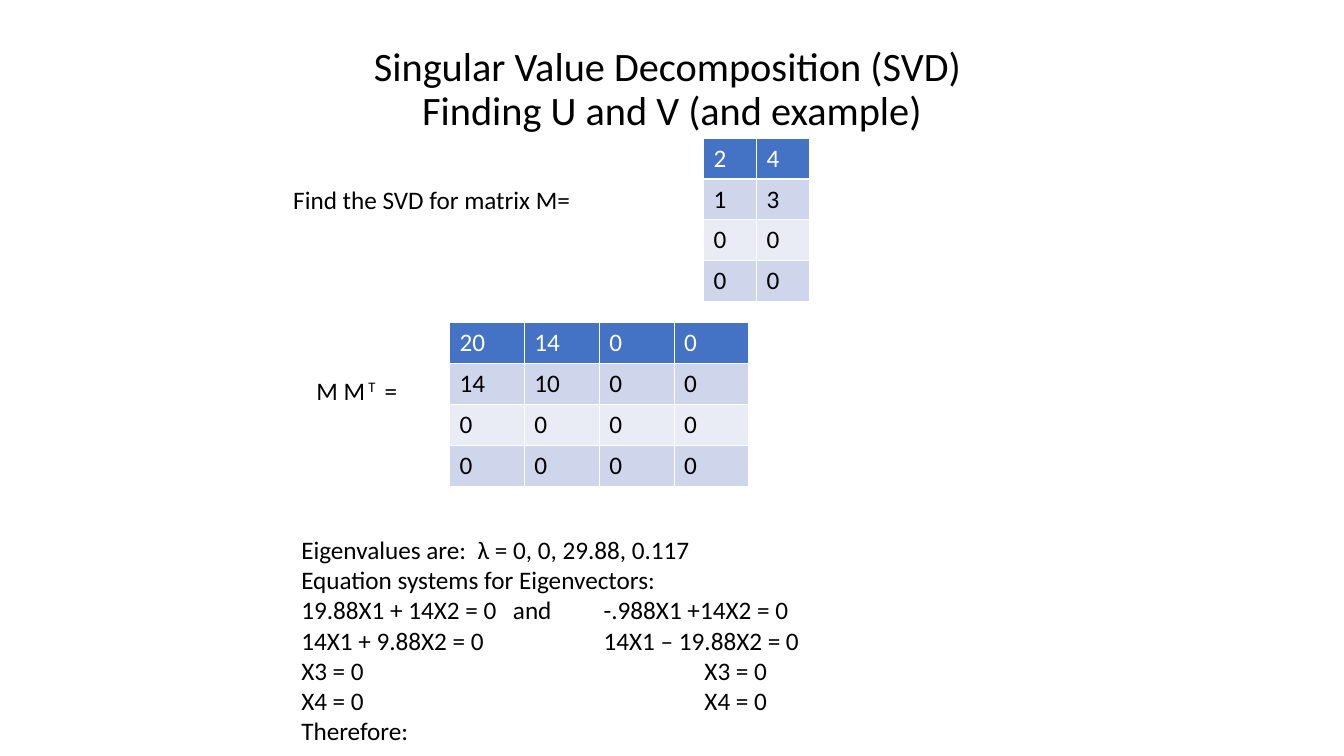
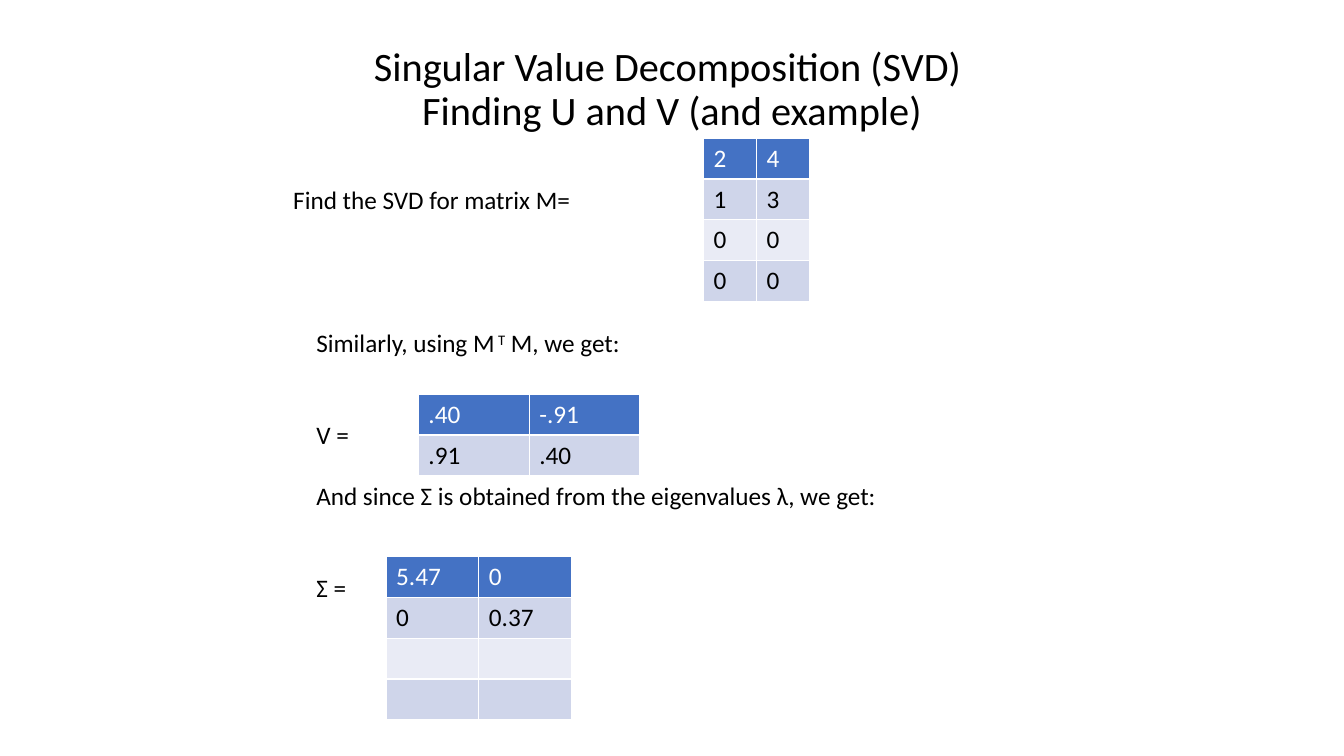
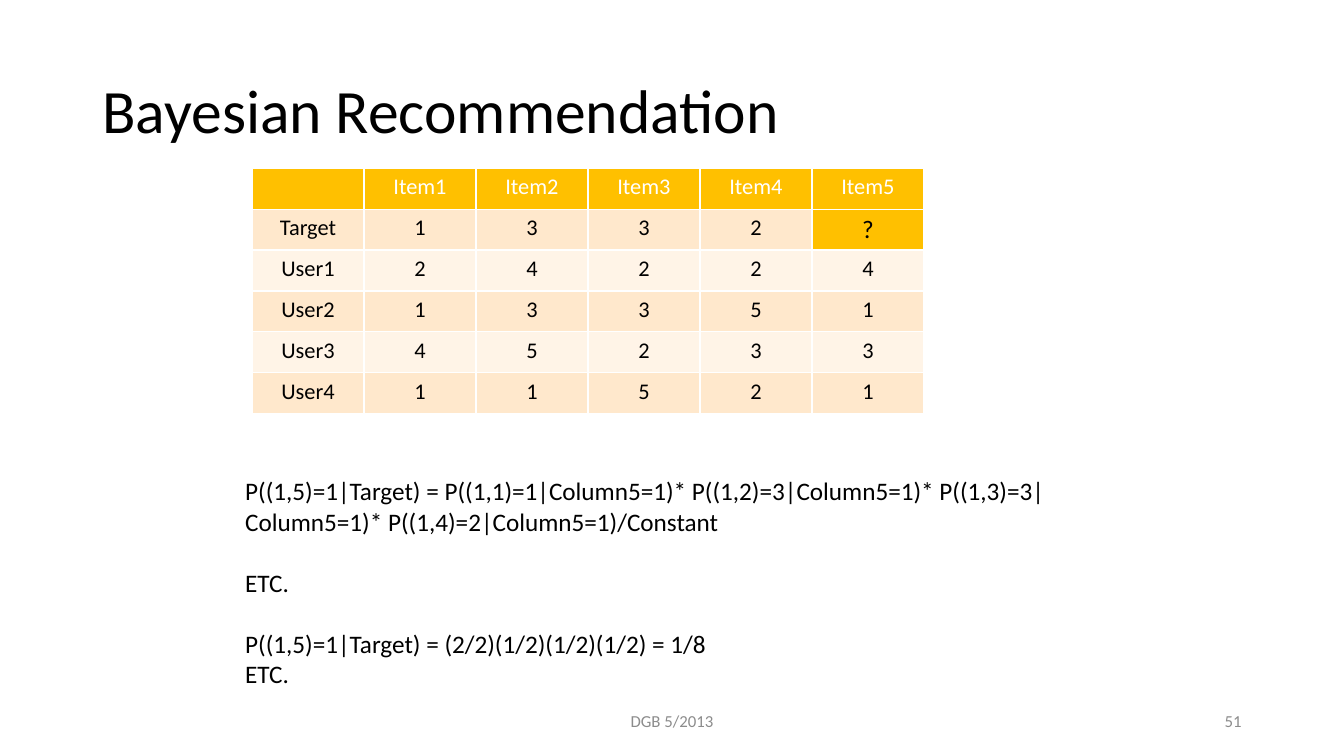
from dataclasses import dataclass
from typing import Any, NamedTuple

import lxml.etree
import pptx
import pptx.dml.color
import pptx.enum.text
import pptx.oxml.ns
import pptx.util

SLIDE_WIDTH = pptx.util.Inches(13.333)
SLIDE_HEIGHT = pptx.util.Inches(7.5)
FONT = "Calibri"
BLACK, WHITE, GREY = "000000", "FFFFFF", "8C8C8C"
BODY_SIZE = 18
LINE_HEIGHT = 22
ROW_HEIGHT = pptx.util.Pt(29.2)

ALIGN = pptx.enum.text.PP_ALIGN
ANCHOR = pptx.enum.text.MSO_ANCHOR


class Box(NamedTuple):
    """Left, top, width and height in percent of the slide's size."""
    left: float
    top: float
    width: float
    height: float = 5.33

    def lengths(self) -> tuple[int, ...]:
        sides = (SLIDE_WIDTH, SLIDE_HEIGHT, SLIDE_WIDTH, SLIDE_HEIGHT)
        return tuple(round(side * share / 100) for side, share in zip(sides, self))


class Line(NamedTuple):
    """A paragraph; text between carets is raised, tab stops are in inches."""
    text: str
    blank_lines_before: int = 0
    tab_stops: tuple[float, ...] = ()


@dataclass(frozen=True)
class TextStyle:
    size: float = BODY_SIZE
    color: str = BLACK
    align: Any = ALIGN.LEFT
    anchor: Any = ANCHOR.TOP
    line_spacing: float = 1.0


@dataclass(frozen=True)
class TableStyle:
    header: str
    bands: tuple[str, str]
    size: float = BODY_SIZE
    align: Any = ALIGN.LEFT


HEADING = TextStyle(28.8, align=ALIGN.CENTER, anchor=ANCHOR.MIDDLE, line_spacing=0.9)
LARGE_TITLE = TextStyle(44, anchor=ANCHOR.MIDDLE, line_spacing=0.9)
BODY = TextStyle()
FOOTER = TextStyle(12, GREY, ALIGN.CENTER, ANCHOR.MIDDLE)
PAGE_NUMBER = TextStyle(12, GREY, ALIGN.RIGHT, ANCHOR.MIDDLE)
MATRIX = TableStyle("4472C4", ("CFD5EA", "E9EBF5"))
RATINGS = TableStyle("FFC000", ("FFE8CC", "FFF4E7"), 16, ALIGN.CENTER)
UNKNOWN_RATING = "?"


def rgb(color: str) -> pptx.dml.color.RGBColor:
    return pptx.dml.color.RGBColor.from_string(color)


def apply_format(target: Any, values: dict[str, Any]) -> None:
    for name, value in values.items():
        setattr(target, name, value)


def add_run(paragraph: Any, text: str, size: float, color: str, raised: bool = False) -> None:
    run = paragraph.add_run()
    run.text = text
    apply_format(run.font, {"name": FONT, "size": pptx.util.Pt(size), "bold": False})
    run.font.color.rgb = rgb(color)
    if raised:
        run._r.get_or_add_rPr().set("baseline", "30000")


def add_tab_stops(paragraph: Any, stops: tuple[float, ...]) -> None:
    qn = pptx.oxml.ns.qn
    tab_list = lxml.etree.SubElement(paragraph._p.get_or_add_pPr(), qn("a:tabLst"))
    for stop in stops:
        position = str(pptx.util.Inches(stop))
        lxml.etree.SubElement(tab_list, qn("a:tab"), pos=position, algn="l")


def add_text(slide: Any, box: Box, lines: list[Line], style: TextStyle = BODY) -> None:
    frame = slide.shapes.add_textbox(*box.lengths()).text_frame
    apply_format(frame, {"word_wrap": True, "vertical_anchor": style.anchor})
    for index, line in enumerate(lines):
        paragraph = frame.add_paragraph() if index else frame.paragraphs[0]
        apply_format(paragraph, {
            "alignment": style.align,
            "line_spacing": style.line_spacing,
            "space_before": pptx.util.Pt(line.blank_lines_before * LINE_HEIGHT),
        })
        if line.tab_stops:
            add_tab_stops(paragraph, line.tab_stops)
        for part, text in enumerate(line.text.split("^")):
            add_run(paragraph, text, style.size, style.color, raised=part % 2 == 1)


def add_cell_borders(cell: Any) -> None:
    qn = pptx.oxml.ns.qn
    properties = cell._tc.get_or_add_tcPr()
    for index, side in enumerate(("lnL", "lnR", "lnT", "lnB")):
        border = lxml.etree.Element(qn(f"a:{side}"), w=str(pptx.util.Pt(1)))
        fill = lxml.etree.SubElement(border, qn("a:solidFill"))
        lxml.etree.SubElement(fill, qn("a:srgbClr"), val=WHITE)
        properties.insert(index, border)


def add_table(slide: Any, left: float, top: float, width: float,
              rows: list[list[str]], style: TableStyle = MATRIX) -> None:
    """Place a banded table; its height follows from the number of rows."""
    x, y, table_width, _ = Box(left, top, width).lengths()
    table = slide.shapes.add_table(
        len(rows), len(rows[0]), x, y, table_width, ROW_HEIGHT * len(rows)).table
    for row_index, row in enumerate(rows):
        for column_index, text in enumerate(row):
            cell = table.cell(row_index, column_index)
            is_header, is_unknown = row_index == 0, text == UNKNOWN_RATING
            color = style.bands[(row_index - 1) % 2]
            cell.fill.solid()
            cell.fill.fore_color.rgb = rgb(style.header if is_header or is_unknown else color)
            add_cell_borders(cell)
            paragraph = cell.text_frame.paragraphs[0]
            paragraph.alignment = style.align
            if text:
                add_run(paragraph, text, BODY_SIZE if is_unknown else style.size,
                        WHITE if is_header else BLACK)


def add_slide(presentation: Any) -> Any:
    return presentation.slides.add_slide(presentation.slide_layouts[6])


def add_svd_slide(presentation: Any) -> Any:
    """Add a slide with the heading and the matrix that both SVD slides show."""
    slide = add_slide(presentation)
    add_text(slide, Box(6.88, 5.33, 86.25, 13.33), [
        Line("Singular Value Decomposition (SVD) "),
        Line("Finding U and V (and example)"),
    ], HEADING)
    add_text(slide, Box(21.08, 23.73, 31.25), [Line("Find the SVD for matrix M=")])
    add_table(slide, 52.35, 18.27, 7.88,
              [["2", "4"], ["1", "3"], ["0", "0"], ["0", "0"]])
    return slide


def build_eigenvalues(presentation: Any) -> None:
    slide = add_svd_slide(presentation)
    add_text(slide, Box(22.8, 48.93, 8.63), [Line("M M^ T ^ =")])
    add_table(slide, 33.45, 42.67, 22.28, [
        ["20", "14", "0", "0"],
        ["14", "10", "0", "0"],
        ["0", "0", "0", "0"],
        ["0", "0", "0", "0"],
    ])
    add_text(slide, Box(21.68, 70, 56.7, 29.6), [
        Line("Eigenvalues are:  λ = 0, 0, 29.88, 0.117"),
        Line("Equation systems for Eigenvectors:"),
        Line("19.88X1 + 14X2 = 0\tand\t-.988X1 +14X2 = 0", tab_stops=(2.1, 3)),
        Line("14X1 + 9.88X2 = 0\t14X1 – 19.88X2 = 0", tab_stops=(3,)),
        Line("X3 = 0\tX3 = 0", tab_stops=(4,)),
        Line("X4 = 0\tX4 = 0", tab_stops=(4,)),
        Line("Therefore:"),
    ])


def build_v_and_sigma(presentation: Any) -> None:
    slide = add_svd_slide(presentation)
    add_text(slide, Box(22.8, 42.67, 54.9, 37.73), [
        Line("Similarly, using M^ T^ M, we get:"),
        Line("V =", 2),
        Line("And since Σ is obtained from the eigenvalues λ, we get:", 1),
        Line("Σ =", 2),
    ])
    add_table(slide, 31.13, 52.13, 16.5, [[".40", "-.91"], [".91", ".40"]])
    add_table(slide, 28.73, 73.6, 13.8,
              [["5.47", "0"], ["0", "0.37"], ["", ""], ["", ""]])


def build_bayesian_recommendation(presentation: Any) -> None:
    slide = add_slide(presentation)
    add_text(slide, Box(6.88, 5.33, 86.25, 19.33),
             [Line("Bayesian Recommendation")], LARGE_TITLE)
    add_text(slide, Box(33.13, 92.67, 33.75), [Line("DGB 5/2013")], FOOTER)
    add_text(slide, Box(70.63, 92.67, 22.5), [Line("51")], PAGE_NUMBER)
    add_table(slide, 18.75, 22.27, 50, [
        ["", "Item1", "Item2", "Item3", "Item4", "Item5"],
        ["Target", "1", "3", "3", "2", UNKNOWN_RATING],
        ["User1", "2", "4", "2", "2", "4"],
        ["User2", "1", "3", "3", "5", "1"],
        ["User3", "4", "5", "2", "3", "3"],
        ["User4", "1", "1", "5", "2", "1"],
    ], RATINGS)
    add_text(slide, Box(17.5, 62.27, 63.75, 29.6), [
        Line("P((1,5)=1|Target) = P((1,1)=1|Column5=1)* P((1,2)=3|Column5=1)* "
             "P((1,3)=3|Column5=1)* P((1,4)=2|Column5=1)/Constant"),
        Line("ETC.", 1),
        Line("P((1,5)=1|Target) = (2/2)(1/2)(1/2)(1/2) = 1/8", 1),
        Line("ETC."),
    ])


def main() -> None:
    presentation = pptx.Presentation()
    apply_format(presentation, {"slide_width": SLIDE_WIDTH, "slide_height": SLIDE_HEIGHT})
    build_eigenvalues(presentation)
    build_v_and_sigma(presentation)
    build_bayesian_recommendation(presentation)
    presentation.save("out.pptx")


if __name__ == "__main__":
    main()
